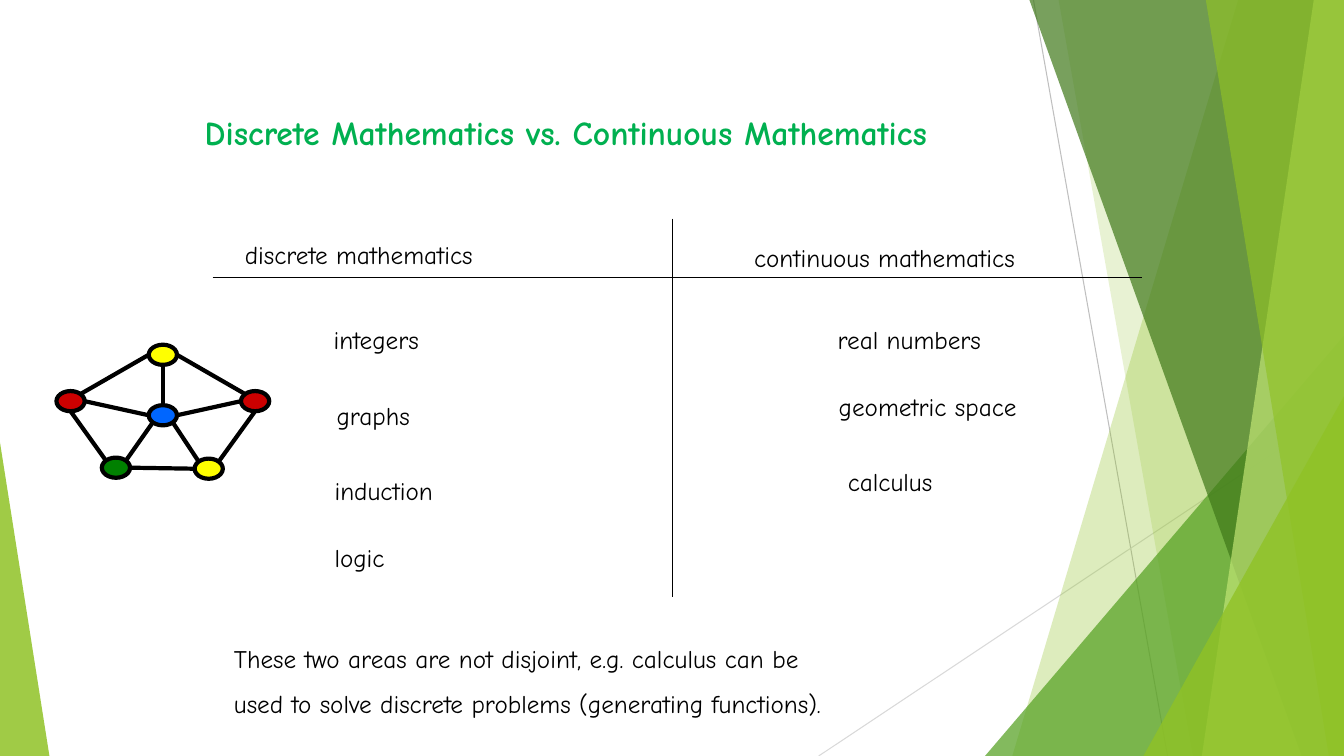
import pptx
import pptx.util
import pptx.dml.color
import pptx.enum.shapes
import pptx.enum.text
import pptx.oxml
import pptx.oxml.ns

Inches = pptx.util.Inches
Pt = pptx.util.Pt
KIND = pptx.enum.shapes.MSO_SHAPE
FONT = "Comic Neue"
HUES = {
    "black": "000000", "title": "00B050", "gray": "BFBFBF", "pale": "D9D9D9",
    "lime": "90C226", "leaf": "54A021", "dark": "3F7819", "light": "C0E474",
    "green": "008000", "red": "CC0000", "yellow": "FFFF00", "blue": "0066FF",
}


def hue(name):
    return pptx.dml.color.RGBColor.from_string(HUES[name])


def paint(shape, name, alpha=100):
    shape.shadow.inherit = False
    shape.fill.solid()
    shape.fill.fore_color.rgb = hue(name)
    if alpha < 100:
        color = shape.fill._xPr.find(".//" + pptx.oxml.ns.qn("a:srgbClr"))
        node = color.makeelement(pptx.oxml.ns.qn("a:alpha"), {"val": str(alpha * 1000)})
        color.append(node)


def line(slide, start, end, name="black", width=0.75):
    ends = [Inches(v) for v in (*start, *end)]
    rule = slide.shapes.add_connector(pptx.enum.shapes.MSO_CONNECTOR.STRAIGHT, *ends)
    rule.line.color.rgb = hue(name)
    rule.line.width = Pt(width)
    props = rule._element.spPr
    props.append(props.makeelement(pptx.oxml.ns.qn("a:effectLst"), {}))


def shape(slide, kind, box):
    return slide.shapes.add_shape(kind, *[Inches(v) for v in box])


def write(holder, rows, size=18, name="black", bold=False, wrap=False):
    frame = holder.text_frame
    frame.text = "\n".join(rows)
    frame.word_wrap = wrap
    frame.auto_size = pptx.enum.text.MSO_AUTO_SIZE.NONE
    frame.vertical_anchor = pptx.enum.text.MSO_ANCHOR.TOP
    for para in frame.paragraphs:
        para.alignment = pptx.enum.text.PP_ALIGN.LEFT
        para.space_before = Pt(0)
        para.font.name = FONT
        para.font.size = Pt(size)
        para.font.bold = bold
        para.font.color.rgb = hue(name)
    return frame


def place(holder, box):
    holder.left, holder.top, holder.width, holder.height = [Inches(v) for v in box]


def label(slide, text, box):
    write(slide.shapes.add_textbox(*[Inches(v) for v in box]), [text])


def draw_band(slide, box, points, name, alpha):
    left, top, width, height = box
    spots = [(Inches(left + x * width), Inches(top + y * height)) for x, y in points]
    path = slide.shapes.build_freeform(*spots[0])
    path.add_line_segments(spots[1:], close=True)
    band = path.convert_to_shape()
    paint(band, name, alpha)
    band.line.fill.background()


def draw_wedge(slide, box, tip, name, alpha):
    wedge = shape(slide, KIND.ISOSCELES_TRIANGLE, box)
    wedge.adjustments[0] = tip
    paint(wedge, name, alpha)
    wedge.line.fill.background()


def draw_decor(slide, box):
    left, top, width, height = box
    right, base = left + width, top + height

    def band(start, top_x, base_x, name, alpha):
        span = right - start
        points = [((top_x - start) / span, 0), (1, 0), (1, 1), ((base_x - start) / span, 1)]
        draw_band(slide, (start, top, span, height), points, name, alpha)

    def wedge(wide, high, name, alpha):
        draw_wedge(slide, (right - wide, base - high, wide, high), 1, name, alpha)

    line(slide, (10.25, top), (11.58, base), "gray")
    line(slide, (right, 4.03), (8.12, base), "pale")
    band(10.04, 12.28, 10.04, "lime", 30)
    band(10.5, 10.5, 11.83, "lime", 20)
    wedge(3.56, 4.17, "leaf", 72)
    band(10.21, 10.21, 12.91, "dark", 70)
    band(11.92, 13.03, 11.92, "light", 70)
    band(11.96, 11.96, 13.18, "lime", 65)
    wedge(1.99, 3.57, "lime", 80)
    draw_wedge(slide, (left, base - 3.11, 0.49, 3.11), 0, "lime", 85)


def draw_terms(slide, box):
    left, top, width, height = box
    mid = left + 4.56
    line(slide, (mid, top), (mid, top + height))
    line(slide, (left, top + 0.58), (left + width, top + 0.58))
    terms = [
        ("discrete mathematics", 0.22, 0.16, 2.76),
        ("integers", 1.1, 1, 1.18),
        ("graphs", 1.13, 1.75, 0.99),
        ("induction", 1.11, 2.5, 1.27),
        ("logic", 1.11, 3.16, 0.74),
        ("continuous mathematics", 5.27, 0.18, 3.01),
        ("real numbers", 6.1, 1, 1.73),
        ("geometric space", 6.11, 1.66, 2.11),
        ("calculus", 6.2, 2.41, 1.11),
    ]
    for text, x, y, wide in terms:
        label(slide, text, (left + x, top + y, wide, 0.4))


def draw_graph(slide, box):
    left, top, width, height = box
    rx, ry = 0.14, 0.1
    nodes = {
        "west": (rx, 0.56, "red"),
        "east": (width - rx, 0.56, "red"),
        "north": (width / 2, ry, "yellow"),
        "hub": (width / 2, 0.7, "blue"),
        "south": (0.59, height - ry - 0.01, "green"),
        "corner": (1.51, height - ry, "yellow"),
    }
    sides = {"N": (0, -1), "S": (0, 1), "W": (-1, 0), "E": (1, 0),
             "NW": (-0.71, -0.71), "NE": (0.71, -0.71),
             "SW": (-0.71, 0.71), "SE": (0.71, 0.71)}

    def spot(node, side):
        x, y, _ = nodes[node]
        dx, dy = sides[side]
        return left + x + dx * rx, top + y + dy * ry

    for x, y, name in nodes.values():
        dot = shape(slide, KIND.OVAL, (left + x - rx, top + y - ry, 2 * rx, 2 * ry))
        paint(dot, name)
        dot.line.color.rgb = hue("black")
        dot.line.width = Pt(3)

    edges = [
        ("south", "E", "corner", "W"), ("north", "E", "east", "NW"),
        ("east", "S", "corner", "NE"), ("north", "W", "west", "NE"),
        ("west", "S", "south", "NW"), ("north", "S", "hub", "N"),
        ("hub", "E", "east", "W"), ("hub", "SE", "corner", "NW"),
        ("hub", "SW", "south", "NE"), ("hub", "W", "west", "E"),
    ]
    for head, out, tail, into in edges:
        line(slide, spot(head, out), spot(tail, into), width=3)


def draw_title(slide, box):
    place(slide.shapes.title, box)
    write(slide.shapes.title, ["Discrete Mathematics vs. Continuous Mathematics"],
          24, "title", True)


def draw_note(slide, box):
    body = slide.placeholders[1]
    place(body, box)
    frame = write(body, [
        "These two areas are not disjoint, e.g. calculus can be",
        "used to solve discrete problems (generating functions).",
    ])
    for para in frame.paragraphs:
        props = para._p.get_or_add_pPr()
        props.set("marL", "0")
        props.set("indent", "0")
        bullet = props.makeelement(pptx.oxml.ns.qn("a:buNone"), {})
        props.find(pptx.oxml.ns.qn("a:defRPr")).addprevious(bullet)
    frame.paragraphs[1].line_spacing = 1.5


def main():
    deck = pptx.Presentation()
    deck.slide_width, deck.slide_height = Inches(13.33), Inches(7.5)
    slide = deck.slides.add_slide(deck.slide_layouts[1])
    draw_decor(slide, (0, 0, 13.33, 7.5))
    draw_title(slide, (1.93, 1.06, 8.43, 0.5))
    draw_terms(slide, (2.11, 2.17, 9.22, 3.75))
    draw_graph(slide, (0.56, 3.42, 2.11, 1.33))
    draw_note(slide, (2.22, 6.33, 6.68, 0.86))
    deck.save("out.pptx")


if __name__ == "__main__":
    main()
